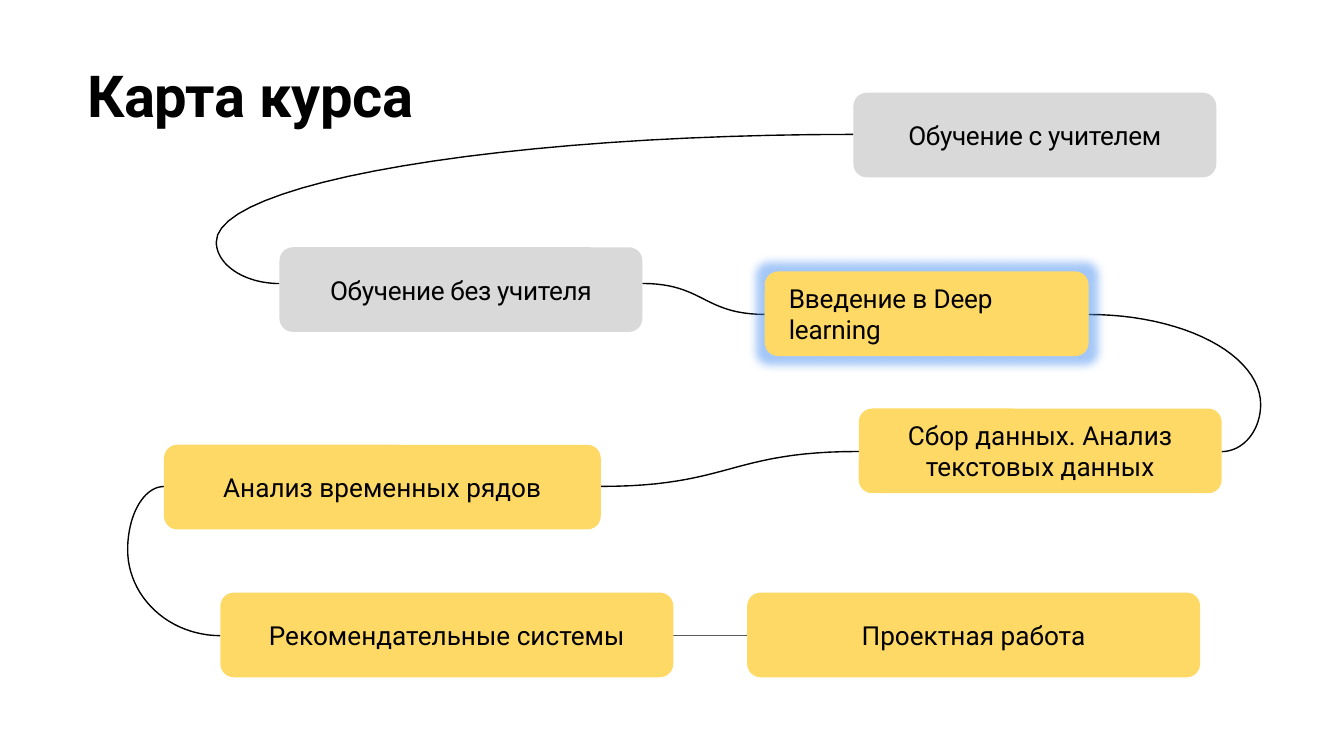
from dataclasses import dataclass
from math import cos, pi, sin

from lxml.etree import SubElement
from pptx import Presentation
from pptx.dml.color import RGBColor
from pptx.enum.shapes import MSO_CONNECTOR as Connector, MSO_SHAPE as Shape
from pptx.enum.text import MSO_ANCHOR as Anchor, PP_ALIGN as Align
from pptx.oxml.ns import qn
from pptx.util import Inches, Pt


@dataclass(frozen=True)
class Theme:
    """Colours, type sizes and line widths of the slide."""
    font: str = "Roboto"
    ink: RGBColor = RGBColor(0, 0, 0)
    link: RGBColor = RGBColor(0x59, 0x59, 0x59)
    done: RGBColor = RGBColor(0xD9, 0xD9, 0xD9)
    planned: RGBColor = RGBColor(0xFF, 0xD9, 0x66)
    glow: str = "4A90F0"
    title_size: Pt = Pt(31)
    label_size: Pt = Pt(14)
    line_width: Pt = Pt(0.75)


THEME = Theme()
BOX_HEIGHT = 0.63
CORNER = 0.1
CURVE_STEPS = 24

TOPICS = [
    ("Обучение с учителем", 6.35, 0.69, 2.7, THEME.done, -20),
    ("Обучение без учителя", 2.08, 1.84, 2.7, THEME.done, -20),
    ("Сбор данных. Анализ текстовых данных", 6.39, 3.04, 2.7, THEME.planned, 0),
    ("Анализ временных рядов", 1.22, 3.31, 3.25, THEME.planned, 0),
    ("Рекомендательные системы", 1.64, 4.41, 3.37, THEME.planned, 0),
    ("Проектная работа", 5.56, 4.41, 3.37, THEME.planned, 0),
]
CURRENT_TOPIC = ("Введение в Deep learning", 5.69, 2.02, 2.41, THEME.planned, -10)

BENDS = [
    ((6.35, 1.0), (1.61, 1.8), (2.08, 2.11)),
    ((8.1, 2.34), (9.38, 3.01), (9.09, 3.36)),
    ((1.22, 3.62), (0.95, 4.09), (1.64, 4.73)),
]
WAVES = [
    ((4.78, 2.11), (5.69, 2.34)),
    ((4.47, 3.62), (6.39, 3.36)),
]
LINK = ((5.01, 4.73), (5.56, 4.73))


def set_text(frame, text, size, spacing, align, bold=False):
    """Fill a text frame with one formatted paragraph."""
    frame.word_wrap = True
    paragraph = frame.paragraphs[0]
    run = paragraph.add_run()
    run.text = text
    if spacing:
        run._r.get_or_add_rPr().set("spc", str(spacing))
    paragraph.alignment = align
    font = paragraph.font
    font.name, font.size, font.bold = THEME.font, size, bold
    font.color.rgb = THEME.ink


def set_margins(frame, horizontal, vertical):
    """Set the inner margins of a text frame."""
    frame.margin_left = frame.margin_right = Inches(horizontal)
    frame.margin_top = frame.margin_bottom = Inches(vertical)


def add_title(slide, text, left, top, width, height):
    """Move and format the title placeholder."""
    title = slide.shapes.title
    title.left, title.top = Inches(left), Inches(top)
    title.width, title.height = Inches(width), Inches(height)
    frame = title.text_frame
    set_margins(frame, 0, 0)
    frame.margin_left = frame.margin_top = Inches(0.02)
    frame.vertical_anchor = Anchor.TOP
    set_text(frame, text, THEME.title_size, -20, Align.LEFT, bold=True)


def add_topic(slide, text, left, top, width, fill, spacing, align=Align.CENTER):
    """Add one rounded topic box and return it."""
    box = slide.shapes.add_shape(Shape.ROUNDED_RECTANGLE, Inches(left), Inches(top),
                                 Inches(width), Inches(BOX_HEIGHT))
    box.adjustments[0] = CORNER / BOX_HEIGHT
    box.shadow.inherit = False
    box.fill.solid()
    box.fill.fore_color.rgb = fill
    box.line.fill.background()
    frame = box.text_frame
    set_margins(frame, 0, 0)
    frame.vertical_anchor = Anchor.MIDDLE
    set_text(frame, text, THEME.label_size, spacing, align)
    return box


def add_current_topic(slide, topic):
    """Add the topic box that is highlighted by a glow."""
    box = add_topic(slide, *topic, align=Align.LEFT)
    set_margins(box.text_frame, 0.15, 0.05)
    effects = box._element.spPr.find(qn("a:effectLst"))
    glow = SubElement(effects, qn("a:glow"), rad=str(Inches(0.13)))
    color = SubElement(glow, qn("a:srgbClr"), val=THEME.glow)
    SubElement(color, qn("a:alpha"), val="50000")


def style_line(line, color):
    """Give a line its colour and width."""
    line.color.rgb = color
    line.width = THEME.line_width


def bend_points(start, turn, end):
    """Return two quarter ellipses that meet at the turn."""
    angles = [pi / 2 * step / CURVE_STEPS for step in range(CURVE_STEPS + 1)]
    points = [(start[0] + (turn[0] - start[0]) * sin(angle),
               turn[1] + (start[1] - turn[1]) * cos(angle)) for angle in angles]
    return points + [(end[0] + (turn[0] - end[0]) * cos(angle),
                      turn[1] + (end[1] - turn[1]) * sin(angle)) for angle in angles[1:]]


def wave_points(start, end):
    """Return a cubic curve that is level at both ends."""
    points = []
    for step in range(CURVE_STEPS + 1):
        t = step / CURVE_STEPS
        across = 1.5 * t * (1 - t) + t ** 3
        down = 3 * t ** 2 - 2 * t ** 3
        points.append((start[0] + (end[0] - start[0]) * across,
                       start[1] + (end[1] - start[1]) * down))
    return points


def add_curve(slide, points):
    """Draw an open curve through points given in inches."""
    places = [(Inches(x), Inches(y)) for x, y in points]
    builder = slide.shapes.build_freeform(*places[0])
    builder.add_line_segments(places[1:], close=False)
    curve = builder.convert_to_shape()
    curve.shadow.inherit = False
    curve.fill.background()
    style_line(curve.line, THEME.ink)


def add_link(slide, start, end):
    """Add a straight connector between two points."""
    link = slide.shapes.add_connector(Connector.STRAIGHT, *map(Inches, start + end))
    style_line(link.line, THEME.link)
    SubElement(link._element.spPr, qn("a:effectLst"))


def add_course_map(slide):
    """Add the path of the course and its topics."""
    for bend in BENDS:
        add_curve(slide, bend_points(*bend))
    for wave in WAVES:
        add_curve(slide, wave_points(*wave))
    add_link(slide, *LINK)
    for topic in TOPICS:
        add_topic(slide, *topic)
    add_current_topic(slide, CURRENT_TOPIC)


def main():
    """Build and save the presentation."""
    presentation = Presentation()
    presentation.slide_width = Inches(10)
    presentation.slide_height = Inches(10) * 9 // 16
    slide = presentation.slides.add_slide(presentation.slide_layouts[5])
    add_title(slide, "Карта курса", 0.63, 0.42, 6.81, 0.54)
    add_course_map(slide)
    presentation.save("out.pptx")


if __name__ == "__main__":
    main()
